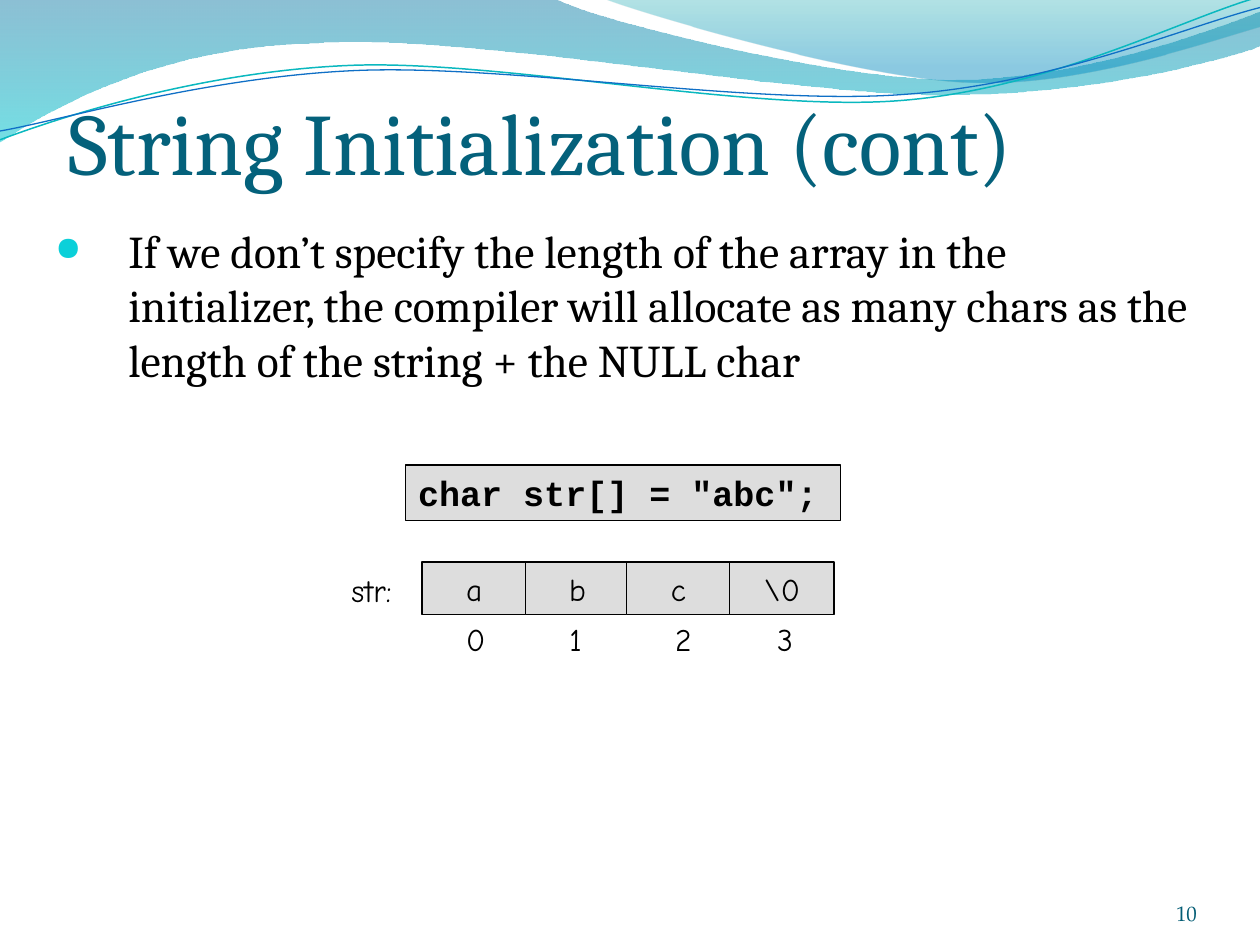
from lxml import etree
from pptx import Presentation
from pptx import util as u
from pptx.dml.color import RGBColor
from pptx.enum import shapes, text
from pptx.oxml import ns

COLORS = {
    "black": "000000", "panel": "DDDDDD", "title": "04617B",
    "number": "045D75", "bullet": "0BD0D9",
    "wave_top": "0074A1", "wave_end": "00C6CF",
    "corner_top": "00A1A9", "corner_end": "008BBF",
    "teal_line": "0AB8BF", "blue_line": "0F6FC6",
}
HAND = {"name": "Comic Neue", "size": u.Pt(18)}
GROW = {"auto_size": text.MSO_AUTO_SIZE.SHAPE_TO_FIT_TEXT}
GRID = 100  # outline units per inch


def color(name):
    return RGBColor.from_string(COLORS[name])


def add_curve(page, start, pieces, closed):
    """Outline whose pieces are corners (x, y) or cubic curves (six numbers)."""
    pieces = [[round(value * GRID) for value in piece] for piece in pieces]
    start = [round(value * GRID) for value in start]
    corners = [start] + [piece[-2:] for piece in pieces]
    left, top = (min(axis) for axis in zip(*corners))

    builder = page.shapes.build_freeform(*start, scale=u.Inches(1) / GRID)
    builder.add_line_segments(corners[1:], close=closed)
    shape = builder.convert_to_shape()
    shape.shadow.inherit = False

    # Bend the straight pieces that stand for curves
    lines = list(shape.element.spPr.iter(ns.qn("a:lnTo")))
    for line, piece in zip(lines, pieces):
        if len(piece) == 6:
            bend = etree.Element(ns.qn("a:cubicBezTo"))
            for x, y in zip(piece[::2], piece[1::2]):
                etree.SubElement(bend, ns.qn("a:pt"), x=str(x - left), y=str(y - top))
            line.getparent().replace(line, bend)
    return shape


def add_wave(page, start, pieces, stops):
    """Closed wave with a see-through gradient from top to bottom."""
    shape = add_curve(page, start, pieces, True)
    shape.line.fill.background()
    shape.fill.gradient()
    shape.fill.gradient_angle = 270
    for stop, (position, name, _) in zip(shape.fill.gradient_stops, stops):
        stop.position = position
        stop.color.rgb = color(name)
    tags = shape.element.spPr.iter(ns.qn("a:srgbClr"))
    for tag, (_, _, alpha) in zip(tags, stops):
        etree.SubElement(tag, ns.qn("a:alpha"), val=str(alpha * 1000))


def add_strand(page, start, pieces, name, width):
    shape = add_curve(page, start, pieces, False)
    shape.fill.background()
    shape.line.color.rgb = color(name)
    shape.line.width = u.Pt(width)


def write(box, words, font, ink="black", align=text.PP_ALIGN.LEFT, **frame_format):
    """Put one paragraph in a box; frame_format overrides the frame settings."""
    frame = box.text_frame
    settings = {"word_wrap": True, "vertical_anchor": text.MSO_ANCHOR.TOP}
    for key, value in {**settings, **frame_format}.items():
        setattr(frame, key, value)
    para = frame.paragraphs[0]
    para.alignment = align
    span = para.add_run()
    span.text = words
    for key, value in font.items():
        setattr(span.font, key, value)
    span.font.color.rgb = color(ink)
    return para


def add_label(page, place, words, font, **options):
    box = page.shapes.add_textbox(*map(u.Inches, place))
    return write(box, words, font, **options)


def add_panel(page, place, words, font, **options):
    box = page.shapes.add_shape(shapes.MSO_SHAPE.RECTANGLE, *map(u.Inches, place))
    box.shadow.inherit = False
    box.fill.solid()
    box.fill.fore_color.rgb = color("panel")
    box.line.color.rgb = color("black")
    box.line.width = u.Pt(0.75)
    return write(box, words, font, **options)


def add_bullet(para, indent):
    props = para._p.get_or_add_pPr()
    props.set("marL", str(u.Inches(indent)))
    props.set("indent", str(-u.Inches(indent)))
    tint = etree.SubElement(props, ns.qn("a:buClr"))
    etree.SubElement(tint, ns.qn("a:srgbClr"), val=COLORS["bullet"])
    etree.SubElement(props, ns.qn("a:buSzPct"), val="73000")
    etree.SubElement(props, ns.qn("a:buChar"), char="●")


def draw_backdrop(page):
    add_wave(page, (0, 0), [
        (4.4, -0.01), (4.76, 0.17, 6.64, 0.63, 7.58, 0.63),
        (8.53, 0.63, 9.58, 0.26, 10, 0.09), (10.01, 0.36),
        (9.83, 0.44, 8.7, 0.76, 7.46, 0.75), (6.22, 0.75, 3.82, 0.28, 2.57, 0.34),
        (1.29, 0.36, 0.46, 0.83, -0.01, 1.13),
    ], [(0, "wave_top", 45), (1, "wave_end", 55)])
    add_wave(page, (4.79, -0.01), [
        (5.09, 0.11, 6.82, 0.62, 7.69, 0.65),
        (8.56, 0.69, 9.61, 0.32, 10, 0.21), (10, 0),
    ], [(0, "corner_top", 30), (0.8, "corner_end", 45)])
    add_strand(page, (0, 1.11), [
        (0.48, 0.93, 1.58, 0.57, 2.77, 0.52), (3.95, 0.47, 5.93, 0.89, 7.13, 0.8),
        (8.33, 0.71, 9.38, 0.15, 9.98, -0.02),
    ], "teal_line", 0.85)
    add_strand(page, (0, 1.04), [
        (0.47, 0.96, 1.64, 0.61, 2.83, 0.56), (4.03, 0.51, 5.97, 0.84, 7.17, 0.75),
        (8.36, 0.67, 9.41, 0.21, 10, 0.06),
    ], "blue_line", 0.75)


def draw_array(page):
    """Memory cells with the index under each one."""
    cells = [("a", 3.35, 3.6), ("b", 4.17, 4.42), ("c", 4.97, 5.26), ("\\0", 5.79, 6.07)]
    for char, left, _ in cells:
        add_panel(page, (left, 4.46, 0.83, 0.42), char, HAND, word_wrap=False,
                  align=text.PP_ALIGN.CENTER, vertical_anchor=text.MSO_ANCHOR.MIDDLE)
    for index, (_, _, left) in enumerate(cells):
        add_label(page, (left, 4.87, 0.35, 0.4), str(index), HAND,
                  word_wrap=False, **GROW)
    add_label(page, (2.69, 4.48, 0.64, 0.4), "str:", HAND, word_wrap=False, **GROW)


def main():
    deck = Presentation()
    deck.slide_width, deck.slide_height = u.Inches(10), u.Inches(7.5)
    page = deck.slides.add_slide(deck.slide_layouts[6])
    draw_backdrop(page)

    # Title and explanation
    add_label(page, (0.54, 0.28, 9, 1.25), "String Initialization (cont)",
              {"name": "Cambria", "size": u.Pt(50)}, ink="title",
              vertical_anchor=text.MSO_ANCHOR.BOTTOM,
              margin_left=0, margin_right=0, margin_bottom=0)
    para = add_label(
        page, (0.34, 1.72, 9.3, 2.04),
        "If we don’t specify the length of the array in the initializer, the compiler "
        "will allocate as many chars as the length of the string + the NULL char",
        {"name": "Cambria", "size": u.Pt(26)})
    para.space_before = u.Pt(5.2)
    add_bullet(para, 0.58)

    # Slide number
    add_label(page, (8.67, 6.95, 0.83, 0.4), "10",
              {"name": "TeX Gyre Pagella", "size": u.Pt(12)}, ink="number",
              align=text.PP_ALIGN.RIGHT, vertical_anchor=text.MSO_ANCHOR.BOTTOM,
              margin_left=0, margin_top=0, margin_right=0, margin_bottom=0)

    # Code and its memory layout
    add_panel(page, (3.22, 3.69, 3.45, 0.44), 'char str[] = "abc";',
              {"name": "Courier New", "size": u.Pt(20), "bold": True}, **GROW)
    draw_array(page)
    deck.save("out.pptx")


if __name__ == "__main__":
    main()
